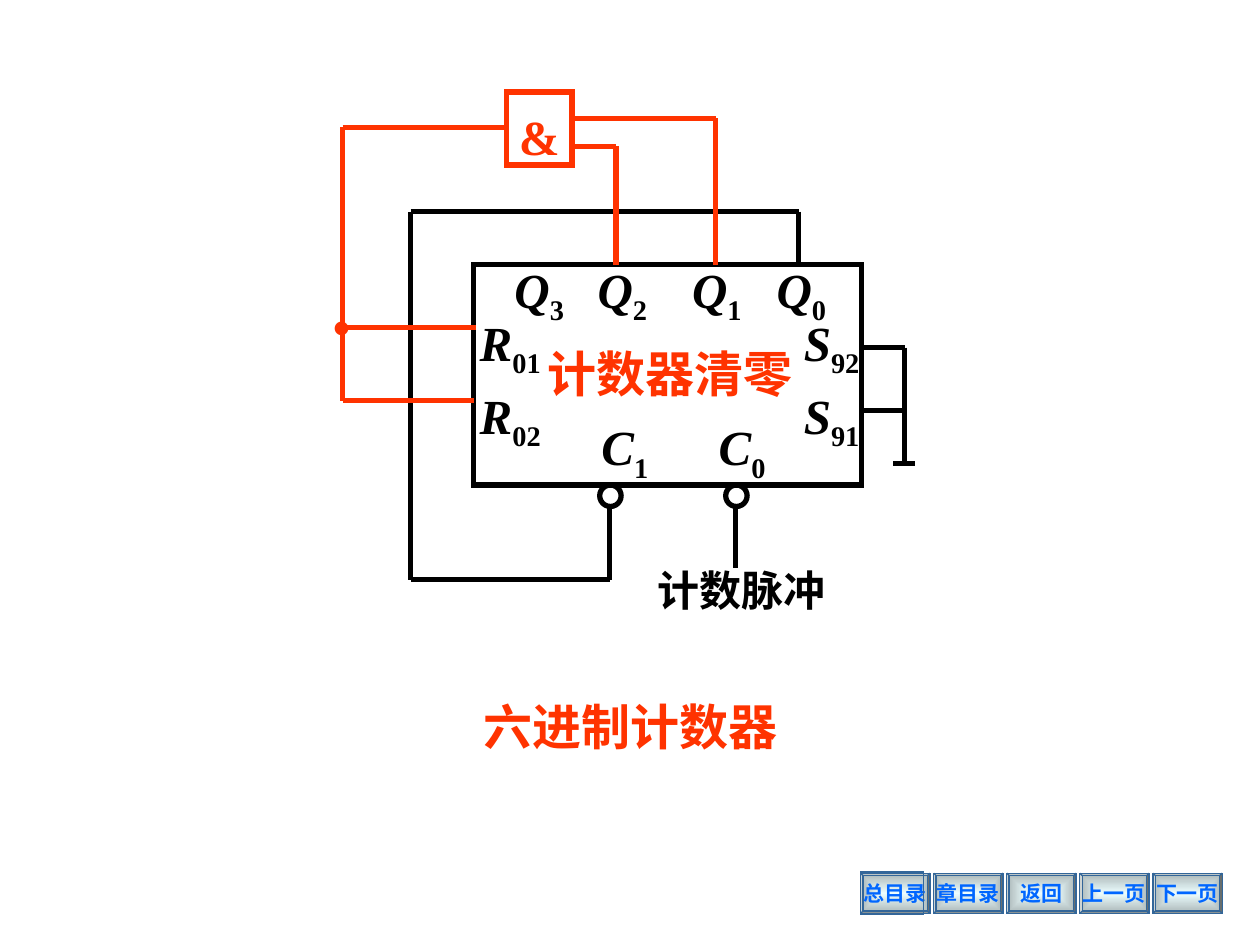
from lxml import etree
from pptx import Presentation
from pptx.dml.color import RGBColor
from pptx.enum.shapes import MSO_CONNECTOR as Connector, MSO_SHAPE as Shape
from pptx.enum.text import MSO_ANCHOR as Anchor, MSO_AUTO_SIZE as AutoSize, PP_ALIGN as Align
from pptx.oxml.ns import qn
from pptx.util import Inches, Pt

BLACK, RED, BLUE, STEEL = "000000", "FF3300", "0066FF", "336699"
FONT = "Times New Roman"


def color(hex_string):
    return RGBColor.from_string(hex_string)


def set_line(line, hex_string, width):
    line.color.rgb = color(hex_string)
    line.width = Pt(width)


def add_run(paragraph, text, hex_string, size, **formats):
    run = paragraph.add_run()
    run.text = text
    values = {"name": FONT, "size": Pt(size), "bold": True, **formats}
    for name, value in values.items():
        setattr(run.font, name, value)
    run.font.color.rgb = color(hex_string)
    return run


def add_label(slide, box, text, hex_string=BLACK, size=28, subscript=""):
    text_box = slide.shapes.add_textbox(*map(Inches, box))
    frame = text_box.text_frame
    frame.word_wrap = False
    frame.auto_size = AutoSize.SHAPE_TO_FIT_TEXT
    paragraph = frame.paragraphs[0]
    paragraph.alignment = Align.CENTER
    add_run(paragraph, text, hex_string, size, italic=bool(subscript))
    if subscript:
        run = add_run(paragraph, subscript, hex_string, size)
        run.font._element.set("baseline", "-25000")


def add_outline(slide, kind, box, hex_string, width=3):
    shape = slide.shapes.add_shape(kind, *map(Inches, box))
    shape.shadow.inherit = False
    shape.fill.background()
    set_line(shape.line, hex_string, width)
    # Square corners
    etree.SubElement(shape._element.spPr.find(qn("a:ln")), qn("a:miter"), lim="800000")
    return shape


def add_wires(slide, left, top, wires, hex_string):
    for x1, y1, x2, y2 in wires:
        wire = slide.shapes.add_connector(
            Connector.STRAIGHT, Inches(left + x1), Inches(top + y1),
            Inches(left + x2), Inches(top + y2))
        set_line(wire.line, hex_string, 3)
        etree.SubElement(wire._element.spPr, qn("a:effectLst"))


def fill_from_center(shape, inner, outer):
    shape.fill.gradient()
    for stop, hex_string in zip(shape.fill.gradient_stops, (inner, outer)):
        stop.color.rgb = color(hex_string)
    gradient = shape._element.spPr.find(qn("a:gradFill"))
    gradient.remove(gradient.find(qn("a:lin")))
    path = etree.SubElement(gradient, qn("a:path"), path="rect")
    etree.SubElement(path, qn("a:fillToRect"),
                     {side: "50000" for side in "ltrb"})


def add_navigation(slide, left, top):
    width, height, pitch = 0.55, 0.32, 0.58
    for index, text in enumerate(("总目录", "章目录", "返回", "上一页", "下一页")):
        button = add_outline(
            slide, Shape.BEVEL, (left + index * pitch, top, width, height), STEEL, 0.75)
        button.adjustments[0] = 0.06
        fill_from_center(button, "ECFDFE", "AAB6B7")
        frame = button.text_frame
        frame.word_wrap = False
        frame.vertical_anchor = Anchor.MIDDLE
        frame.paragraphs[0].alignment = Align.CENTER
        add_run(frame.paragraphs[0], text, BLUE, 12)
    # Frame around the first button
    add_outline(slide, Shape.RECTANGLE, (left, top - 0.01, 0.5, 0.34), STEEL, 0.75)


def add_counter(slide, left, top, width, height):
    add_outline(slide, Shape.RECTANGLE, (left, top, width, height), BLACK)

    # Pin names: letter, subscript, offset and width
    pins = [
        ("S", "92", 2.44, 0.33, 0.8), ("S", "91", 2.44, 0.91, 0.8),
        ("Q", "3", 0.12, -0.09, 0.8), ("Q", "0", 2.2, -0.09, 0.8),
        ("Q", "2", 0.78, -0.09, 0.8), ("Q", "1", 1.53, -0.09, 0.8),
        ("R", "01", -0.11, 0.33, 0.8), ("R", "02", -0.11, 0.91, 0.8),
        ("C", "1", 0.8, 1.16, 0.8), ("C", "0", 1.73, 1.16, 0.8),
    ]
    for letter, subscript, x, y, pin_width in pins:
        add_label(slide, (left + x, top + y, pin_width, 0.63), letter,
                  subscript=subscript)

    # Inverting clock inputs
    for x in (1, 2):
        add_outline(slide, Shape.OVAL, (left + x, top + height, 0.17, 0.17), BLACK)

    add_wires(slide, left, top, [
        # S pins to ground
        (width, 0.66, 3.42, 0.66), (width, 1.16, 3.42, 1.16),
        (3.42, 0.66, 3.42, 1.58), (3.33, 1.58, 3.5, 1.58),
        # Clock pulse to C0
        (2.08, 1.91, 2.08, 2.41),
        # Q0 back to C1
        (1.08, 1.91, 1.08, 2.5), (-0.5, 2.5, 1.08, 2.5),
        (-0.5, -0.42, -0.5, 2.5), (-0.5, -0.42, 2.58, -0.42),
        (2.58, -0.42, 2.58, 0),
    ], BLACK)
    add_label(slide, (left + 1, top + 2.33, 2.25, 0.5), "计数脉冲", size=24)
    add_label(slide, (left + 0.49, top + 0.58, 2.14, 0.57), "计数器清零", RED)


def add_reset_gate(slide, left, top, width, height):
    add_wires(slide, left, top, [
        # Gate output to R01 and R02
        (-1.3, 0.28, -1.3, 2.45), (-1.3, 2.45, -0.26, 2.45),
        (-1.3, 0.28, 0, 0.28), (-1.32, 1.87, -0.24, 1.87),
        # Q2 and Q1 to the gate inputs
        (0.87, 0.43, 0.87, 1.37), (width, 0.43, 0.87, 0.43),
        (1.66, 0.21, 1.66, 1.37), (width, 0.21, 1.66, 0.21),
    ], RED)
    add_outline(slide, Shape.RECTANGLE, (left, top, width, height), RED)
    add_label(slide, (left, top + 0.07, 0.45, 0.57), "&", RED)
    # Junction dot
    add_label(slide, (left - 1.61, top + 1.21, 0.61, 0.9), ".", RED, 48)


def main():
    presentation = Presentation()
    presentation.slide_width = Inches(10)
    presentation.slide_height = Inches(7.5)
    slide = presentation.slides.add_slide(presentation.slide_layouts[6])

    add_navigation(slide, 6.83, 6.93)
    add_label(slide, (3.74, 5.48, 2.53, 0.57), "六进制计数器", RED)
    add_counter(slide, 3.76, 2.1, 3.08, 1.75)
    add_reset_gate(slide, 4.02, 0.73, 0.52, 0.58)

    presentation.save("out.pptx")


if __name__ == "__main__":
    main()
